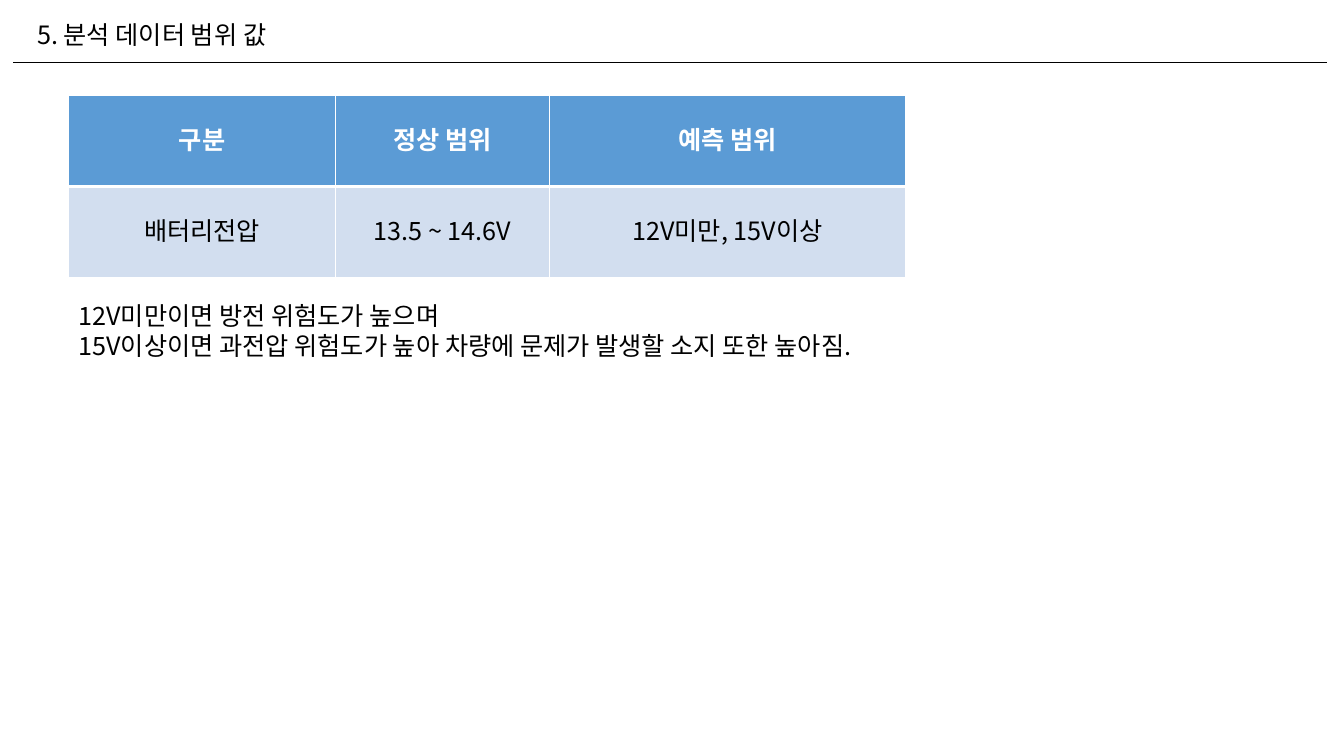
"""Build the slide on battery voltage ranges."""
from dataclasses import dataclass

from lxml import etree
from pptx import Presentation
from pptx import util as u
from pptx.dml.color import RGBColor
from pptx.enum import shapes, text
from pptx.oxml import ns

FONT = "Noto Sans CJK KR"
HEX = {"ink": "000000", "white": "FFFFFF", "head": "5B9BD5", "body": "D2DEEF"}


@dataclass(frozen=True)
class Note:
    left: float
    top: float
    width: float
    height: float
    lines: tuple[str, ...]


@dataclass(frozen=True)
class Row:
    cells: tuple[str, ...]
    fill: str
    ink: str
    bold: bool
    base: float


NOTES = (
    Note(0.27, 0.14, 2.77, 0.4, ("5. 분석 데이터 범위 값",)),
    Note(0.68, 2.92, 8.82, 0.71, (
        "12V미만이면 방전 위험도가 높으며",
        "15V이상이면 과전압 위험도가 높아 차량에 문제가 발생할 소지 또한 높아짐.",
    )),
)
ROWS = (
    Row(("구분", "정상 범위", "예측 범위"), "head", "white", True, 3),
    Row(("배터리전압", "13.5 ~ 14.6V", "12V미만, 15V이상"), "body", "ink", False, 1),
)
COLS = (2.65, 2.12, 3.53)
HIGH = 0.9


def tint(name: str) -> RGBColor:
    return RGBColor.from_string(HEX[name])


def write(frame, lines: tuple[str, ...], *, ink: str = "ink", bold: bool = False,
          size: float = 18, align=text.PP_ALIGN.LEFT) -> None:
    for i, line in enumerate(lines):
        para = frame.paragraphs[0] if i == 0 else frame.add_paragraph()
        para.alignment = align
        para.line_spacing = u.Pt(22)
        run = para.add_run()
        run.text = line
        run.font.size = u.Pt(size)
        run.font.bold = bold
        run.font.color.rgb = tint(ink)
        run.font.name = FONT
        etree.SubElement(run._r.get_or_add_rPr(), ns.qn("a:ea"), typeface=FONT)


def edge(cell, base: float) -> None:
    props = cell._tc.get_or_add_tcPr()
    sides = {"lnL": 1, "lnR": 1, "lnT": cell_top(base), "lnB": base}
    for i, (side, wide) in enumerate(sides.items()):
        line = etree.Element(ns.qn(f"a:{side}"), w=str(u.Pt(wide)))
        fill = etree.SubElement(line, ns.qn("a:solidFill"))
        etree.SubElement(fill, ns.qn("a:srgbClr"), val=HEX["white"])
        props.insert(i, line)


def cell_top(base: float) -> float:
    return 1 if base == 3 else 3


def draw_note(slide, note: Note) -> None:
    box = slide.shapes.add_textbox(
        *map(u.Inches, (note.left, note.top, note.width, note.height)))
    frame = box.text_frame
    frame.word_wrap = False
    frame.auto_size = text.MSO_AUTO_SIZE.SHAPE_TO_FIT_TEXT
    write(frame, note.lines)


def draw_table(slide) -> None:
    table = slide.shapes.add_table(
        len(ROWS), len(COLS), u.Inches(0.68), u.Inches(0.95),
        u.Inches(sum(COLS)), u.Inches(HIGH * len(ROWS))).table
    for col, wide in zip(table.columns, COLS):
        col.width = u.Inches(wide)
    for r, row in enumerate(ROWS):
        table.rows[r].height = u.Inches(HIGH)
        for c, word in enumerate(row.cells):
            cell = table.cell(r, c)
            cell.vertical_anchor = text.MSO_ANCHOR.MIDDLE
            cell.fill.solid()
            cell.fill.fore_color.rgb = tint(row.fill)
            edge(cell, row.base)
            write(cell.text_frame, (word,), ink=row.ink, bold=row.bold,
                  align=text.PP_ALIGN.CENTER)


def draw_rule(slide) -> None:
    rule = slide.shapes.add_connector(
        shapes.MSO_CONNECTOR.STRAIGHT, *map(u.Inches, (0.13, 0.62, 13.16, 0.62)))
    rule.line.color.rgb = tint("ink")
    rule.line.width = u.Pt(0.5)
    etree.SubElement(rule._element.spPr, ns.qn("a:effectLst"))


def main() -> None:
    deck = Presentation()
    deck.slide_width, deck.slide_height = u.Inches(13.33), u.Inches(7.5)
    slide = deck.slides.add_slide(deck.slide_layouts[6])
    draw_rule(slide)
    draw_table(slide)
    for note in NOTES:
        draw_note(slide, note)
    deck.save("out.pptx")


if __name__ == "__main__":
    main()
